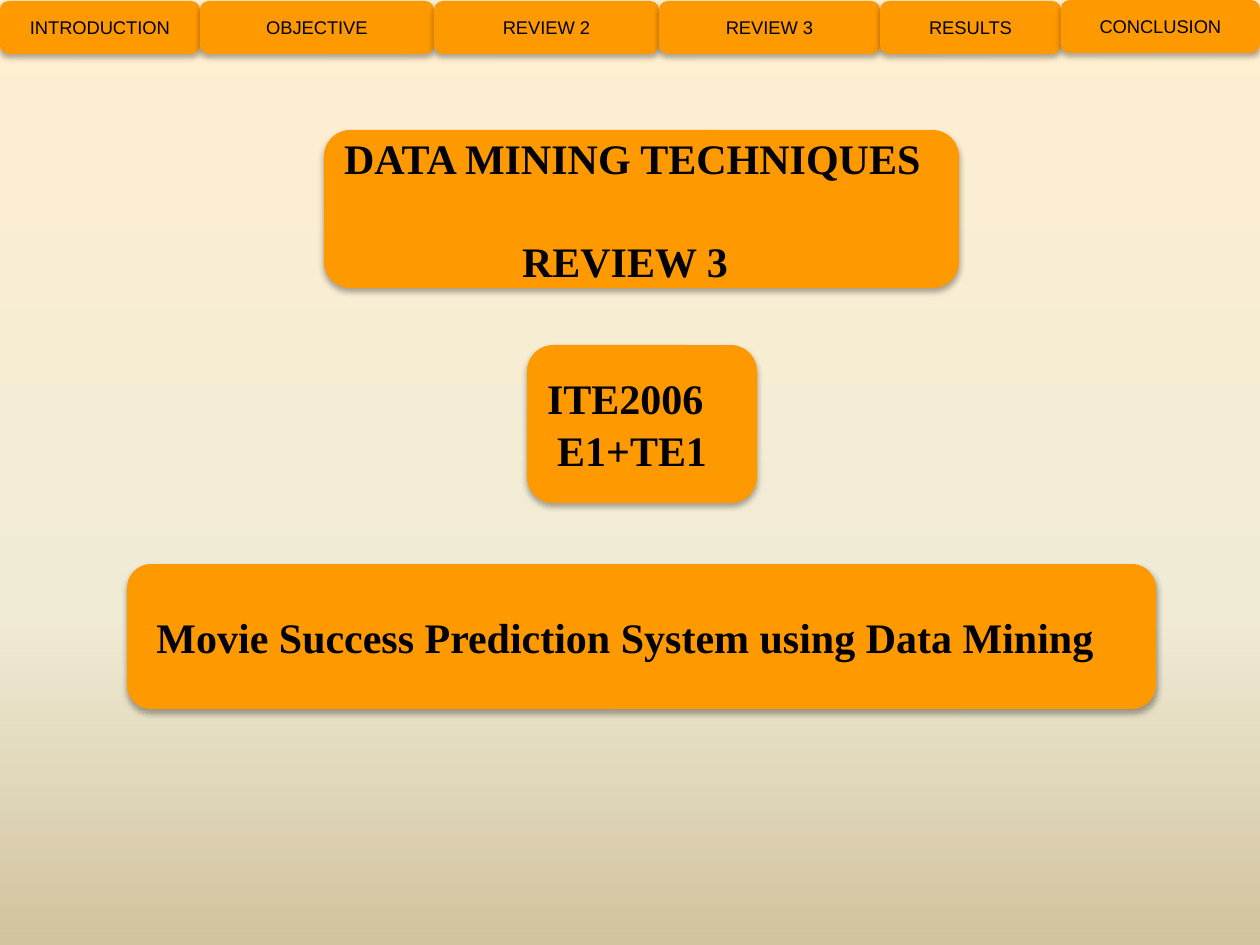
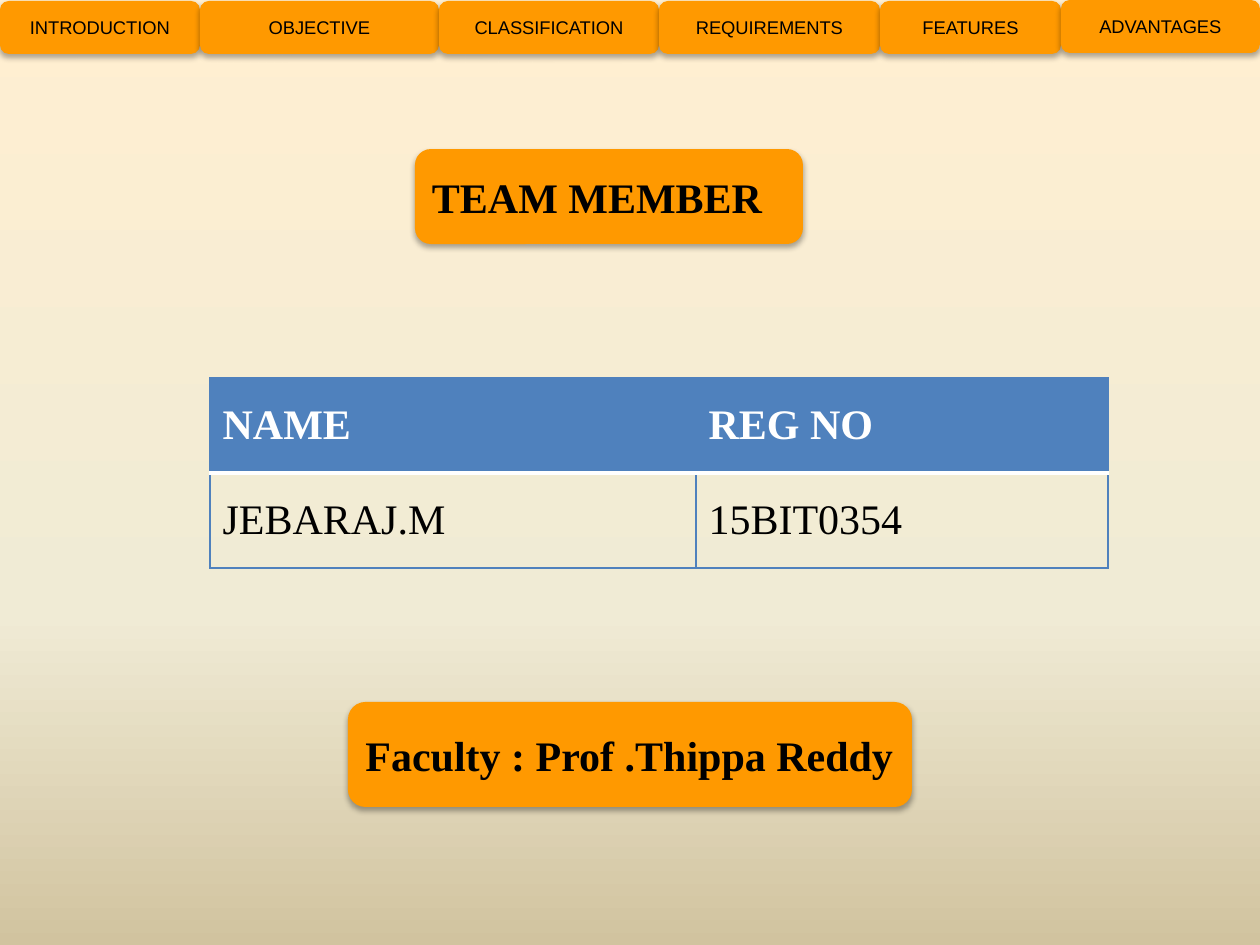
from copy import deepcopy
from itertools import pairwise

from lxml import etree
from pptx import Presentation
from pptx.dml.color import RGBColor
from pptx.enum.shapes import MSO_SHAPE
from pptx.enum.text import MSO_ANCHOR, PP_ALIGN
from pptx.oxml.ns import qn
from pptx.util import Emu, Pt

ROUND_RECT = MSO_SHAPE.ROUNDED_RECTANGLE
MIDDLE = MSO_ANCHOR.MIDDLE
LEFT, CENTER = PP_ALIGN.LEFT, PP_ALIGN.CENTER

ORANGE = RGBColor(0xFF, 0x99, 0x00)
BLUE = RGBColor(0x4F, 0x81, 0xBD)
BLACK = RGBColor(0x00, 0x00, 0x00)
WHITE = RGBColor(0xFF, 0xFF, 0xFF)
BACKDROP = [
    (0, RGBColor(0xFF, 0xEF, 0xD1)),
    (0.65, RGBColor(0xF0, 0xEB, 0xD5)),
    (1, RGBColor(0xD1, 0xC3, 0x9F)),
]

SERIF, SANS = "Times New Roman", "Arial"
PX_PER_INCH = 126
SLIDE_SIZE = (1260, 945)
NAV_HEIGHT = 53


def px(length):
    return Emu(round(length * 914400 / PX_PER_INCH))


def write(frame, text, *, new=False, size=24, font=SERIF, color=BLACK,
          bold=True, align=LEFT, indent=0, before=0):
    """Fill the first paragraph of the frame, or a new one; indent is in px."""
    paragraph = frame.add_paragraph() if new else frame.paragraphs[0]
    paragraph.alignment = align
    paragraph.space_before = Pt(before)
    if indent:
        properties = paragraph._p.get_or_add_pPr()
        properties.set("marL", str(px(indent)))
        properties.set("indent", "0")
    run = paragraph.add_run()
    run.text = text
    run.font.size = Pt(size)
    run.font.name = font
    run.font.bold = bold
    run.font.color.rgb = color


def add_color(parent, color):
    return etree.SubElement(parent, qn("a:srgbClr"), val=str(color))


def cast_shadow(shape):
    shape.shadow.inherit = False
    effects = shape._element.spPr.find(qn("a:effectLst"))
    shadow = etree.SubElement(
        effects, qn("a:outerShdw"), blurRad=str(Pt(3.5)), dist=str(Pt(2.2)),
        dir="5400000", rotWithShape="0")
    etree.SubElement(add_color(shadow, BLACK), qn("a:alpha"), val="32000")


def add_panel(slide, box):
    """Add a shadowed orange panel and return its text frame."""
    panel = slide.shapes.add_shape(ROUND_RECT, *map(px, box))
    panel.fill.solid()
    panel.fill.fore_color.rgb = ORANGE
    panel.line.fill.background()
    cast_shadow(panel)
    frame = panel.text_frame
    frame.word_wrap = True
    frame.vertical_anchor = MIDDLE
    return frame


def add_nav_bar(slide, sections, edges):
    """Place one tab between each pair of edges; the last sits 1 px higher."""
    for section, (left, right) in zip(sections, pairwise(edges)):
        top = 0 if right == edges[-1] else 1
        tab = add_panel(slide, (left, top, right - left, NAV_HEIGHT))
        write(tab, section, size=10.5, font=SANS, bold=False, align=CENTER)


def add_border(cell, side, color, width):
    line = etree.SubElement(cell._tc.get_or_add_tcPr(), qn(f"a:ln{side}"),
                            w=str(Pt(width)))
    add_color(etree.SubElement(line, qn("a:solidFill")), color)


def style_cell(cell, is_header):
    outline, divider = (BLUE, 1), (WHITE, 3)
    top, bottom = (outline, divider) if is_header else (divider, outline)
    for side, stroke in zip("LRTB", (outline, outline, top, bottom)):
        add_border(cell, side, *stroke)
    if is_header:
        cell.fill.solid()
        cell.fill.fore_color.rgb = BLUE
    else:
        cell.fill.background()
    cell.vertical_anchor = MIDDLE


def add_member_table(slide, box, rows, column_widths):
    members = slide.shapes.add_table(
        len(rows), len(column_widths), *map(px, box)).table
    members.first_row = members.horz_banding = False
    for column, width in zip(members.columns, column_widths):
        column.width = px(width)
    for row_index, row in enumerate(rows):
        is_header = row_index == 0
        for column_index, text in enumerate(row):
            cell = members.cell(row_index, column_index)
            style_cell(cell, is_header)
            write(cell.text_frame, text, bold=is_header,
                  color=WHITE if is_header else BLACK)


def paint_backdrop(master):
    fill = master.background.fill
    fill.gradient()
    fill.gradient_angle = 270
    stop_list = next(master._element.iter(qn("a:gsLst")))
    stop_list.insert(1, deepcopy(stop_list[0]))
    for stop, (position, color) in zip(fill.gradient_stops, BACKDROP):
        stop.position = position
        stop.color.rgb = color


def build_title_slide(slide):
    add_nav_bar(
        slide,
        ["INTRODUCTION", "OBJECTIVE", "REVIEW 2", "REVIEW 3", "RESULTS", "CONCLUSION"],
        [0, 200, 434, 659, 880, 1061, 1260])
    course = add_panel(slide, (324, 130, 635, 158))
    write(course, "DATA MINING TECHNIQUES")
    write(course, "REVIEW 3", new=True, indent=178, before=30)
    code = add_panel(slide, (527, 345, 230, 158))
    write(code, "ITE2006")
    write(code, "E1+TE1", new=True, indent=10, before=1)
    topic = add_panel(slide, (127, 564, 1029, 145))
    write(topic, "Movie Success Prediction System using Data Mining", indent=10)


def build_team_slide(slide):
    add_nav_bar(
        slide,
        ["INTRODUCTION", "OBJECTIVE", "CLASSIFICATION", "REQUIREMENTS", "FEATURES",
         "ADVANTAGES"],
        [0, 200, 439, 659, 880, 1061, 1260])
    write(add_panel(slide, (415, 149, 388, 95)), "TEAM MEMBER")
    add_member_table(
        slide, (210, 378, 898, 190),
        [("NAME", "REG NO"), ("JEBARAJ.M", "15BIT0354")], (486, 412))
    write(add_panel(slide, (348, 702, 564, 105)), "Faculty : Prof .Thippa Reddy")


def main():
    deck = Presentation()
    deck.slide_width, deck.slide_height = map(px, SLIDE_SIZE)
    paint_backdrop(deck.slide_master)
    blank = deck.slide_layouts[6]
    for build in (build_title_slide, build_team_slide):
        build(deck.slides.add_slide(blank))
    deck.save("out.pptx")


if __name__ == "__main__":
    main()
